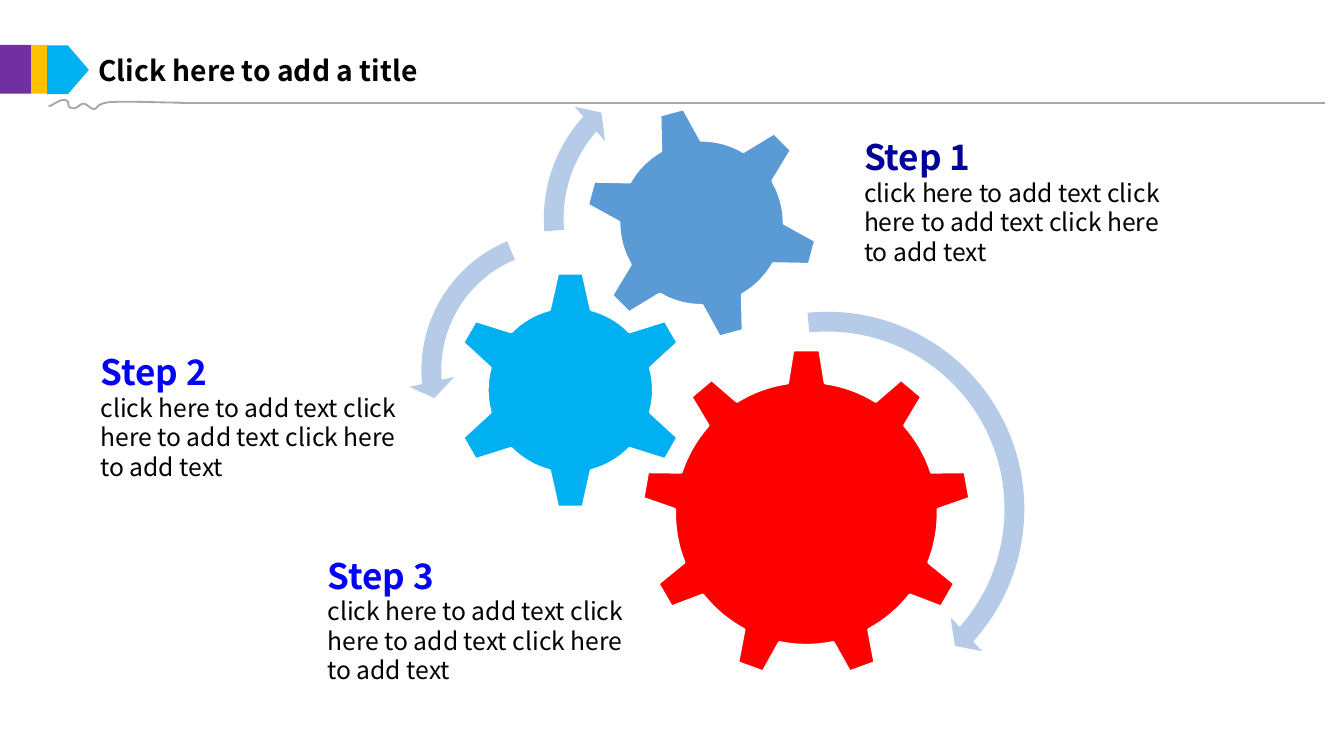
from dataclasses import dataclass
from math import cos, radians, sin

from lxml.etree import SubElement
from pptx import Presentation
from pptx.dml.color import RGBColor
from pptx.enum.shapes import MSO_CONNECTOR, MSO_SHAPE
from pptx.enum.text import MSO_ANCHOR, MSO_AUTO_SIZE, PP_ALIGN
from pptx.oxml.ns import qn
from pptx.util import Cm, Pt

FONT = "Noto Sans CJK SC"
LINE_FACTOR = 1.2
BLACK = RGBColor(0x00, 0x00, 0x00)
WHITE = RGBColor(0xFF, 0xFF, 0xFF)
GREY = RGBColor(0xA6, 0xA6, 0xA6)
RED = RGBColor(0xFF, 0x00, 0x00)
SKY = RGBColor(0x00, 0xB0, 0xF0)
STEEL = RGBColor(0x5B, 0x9B, 0xD5)
PALE_BLUE = RGBColor(0xB5, 0xCB, 0xE7)
NAVY = RGBColor(0x00, 0x00, 0x99)
BLUE = RGBColor(0x00, 0x00, 0xFF)
PURPLE = RGBColor(0x70, 0x30, 0xA0)
AMBER = RGBColor(0xFF, 0xC0, 0x00)
STEP_TEXT = "click here to add text click here to add text click here to add text"

Point = tuple[float, float]


@dataclass
class Gear:
    """Lengths in cm, angles in degrees."""
    center: Point
    teeth: int
    first_angle: float
    body_radius: float
    tip_radius: float
    root_half_angle: float
    tip_half_angle: float
    color: RGBColor


@dataclass
class TurnArrow:
    """Lengths in cm, thickness and head in percent, angles in degrees."""
    kind: MSO_SHAPE
    left: float
    top: float
    size: float
    thickness: float
    head_angle: float
    end_angle: float
    start_angle: float
    head_width: float


@dataclass
class Step:
    heading: str
    left: float
    top: float
    height: float
    color: RGBColor


@dataclass
class Badge:
    kind: MSO_SHAPE
    left: float
    top: float
    width: float
    color: RGBColor


GEARS = [
    Gear((15.24, 9.7), 9, -90, 2.49, 3.1, 8.2, 4.7, RED),
    Gear((10.78, 7.37), 6, -90, 1.57, 2.22, 14.5, 6.2, SKY),
    Gear((13.26, 4.21), 6, -45, 1.56, 2.18, 14.6, 6.1, STEEL),
]
TURN_ARROWS = [
    TurnArrow(MSO_SHAPE.CIRCULAR_ARROW, 11.66, 5.64, 7.95, 4.7, 4.98, 41.99, 264.25, 5.5),
    TurnArrow(MSO_SHAPE.LEFT_CIRCULAR_ARROW, 7.72, 4.11, 5.77, 6.5, 7.17, 174.82, 247.3, 7.5),
    TurnArrow(MSO_SHAPE.CIRCULAR_ARROW, 10.03, 1.02, 6.22, 6, 6.57, 221.9, 175.14, 7),
]
STEPS = [
    Step("Step 1", 16.08, 2.44, 2.74, NAVY),
    Step("Step 2", 1.65, 6.5, 3.3, BLUE),
    Step("Step 3", 5.94, 10.34, 3.3, BLUE),
]
BADGES = [
    Badge(MSO_SHAPE.RECTANGLE, 0, 0.85, 0.59, PURPLE),
    Badge(MSO_SHAPE.RECTANGLE, 0.59, 0.85, 0.3, AMBER),
    Badge(MSO_SHAPE.PENTAGON, 0.89, 0.86, 0.79, SKY),
]
BADGE_HEIGHT = 0.92
# Start point, then two controls and an end point per curve
SQUIGGLE = [
    (0.92, 2.01), (1.02, 1.98), (1.12, 1.88), (1.22, 1.89),
    (1.35, 1.91), (1.24, 2.01), (1.35, 2.04), (1.45, 2.08), (1.5, 1.96), (1.58, 1.96),
    (1.65, 1.96), (1.7, 2.06), (1.78, 2.06), (1.85, 2.06), (1.8, 1.96), (2.08, 1.93),
    (2.36, 1.91), (3.12, 1.94), (3.4, 1.94),
]
RULE_END = 25.04


def polar(center: Point, radius: float, angle: float) -> Point:
    turn = radians(angle)
    return center[0] + radius * cos(turn), center[1] + radius * sin(turn)


def gear_outline(gear: Gear, arc_steps: int = 8) -> list[Point]:
    pitch = 360 / gear.teeth
    gap = pitch - 2 * gear.root_half_angle
    points = []
    for tooth in range(gear.teeth):
        angle = gear.first_angle + tooth * pitch
        for side in (-1, 1):
            points.append(polar(gear.center, gear.tip_radius, angle + side * gear.tip_half_angle))
        for step in range(arc_steps + 1):
            arc_angle = angle + gear.root_half_angle + gap * step / arc_steps
            points.append(polar(gear.center, gear.body_radius, arc_angle))
    return points


def curve_points(knots: list[Point], steps: int = 10) -> list[Point]:
    points = [knots[0]]
    for first in range(0, len(knots) - 1, 3):
        a, b, c, d = knots[first:first + 4]
        for step in range(1, steps + 1):
            t = step / steps
            u = 1 - t
            weights = (u ** 3, 3 * u * u * t, 3 * u * t * t, t ** 3)
            points.append(tuple(sum(w * p[axis] for w, p in zip(weights, (a, b, c, d)))
                                for axis in (0, 1)))
    return points


def draw_outline(shapes, points: list[Point], close: bool):
    corners = [(Cm(x), Cm(y)) for x, y in points]
    builder = shapes.build_freeform(*corners[0])
    builder.add_line_segments(corners[1:], close=close)
    outline = builder.convert_to_shape()
    outline.shadow.inherit = False
    return outline


def draw_gear(shapes, gear: Gear) -> None:
    wheel = draw_outline(shapes, gear_outline(gear), True)
    wheel.fill.solid()
    wheel.fill.fore_color.rgb = gear.color
    wheel.line.color.rgb = WHITE
    wheel.line.width = Pt(1.5)


def draw_preset(shapes, kind: MSO_SHAPE, left: float, top: float,
                width: float, height: float, color: RGBColor):
    preset = shapes.add_shape(kind, Cm(left), Cm(top), Cm(width), Cm(height))
    preset.shadow.inherit = False
    preset.fill.solid()
    preset.fill.fore_color.rgb = color
    preset.line.fill.background()
    return preset


def draw_turn_arrow(shapes, arrow: TurnArrow) -> None:
    turn = draw_preset(shapes, arrow.kind, arrow.left, arrow.top, arrow.size, arrow.size, PALE_BLUE)
    angles = [0.6 * a for a in (arrow.head_angle, arrow.end_angle, arrow.start_angle)]
    settings = [arrow.thickness / 100, *angles, arrow.head_width / 100]
    for index, setting in enumerate(settings):
        turn.adjustments[index] = setting


def format_paragraph(paragraph, size: float, color: RGBColor, bold: bool) -> None:
    paragraph.alignment = PP_ALIGN.LEFT
    paragraph.line_spacing = Pt(round(size * LINE_FACTOR, 1))
    paragraph.space_before = paragraph.space_after = Pt(0)
    for run in paragraph.runs:
        run.font.name = FONT
        run.font.size = Pt(size)
        run.font.bold = bold
        run.font.color.rgb = color


def draw_step(shapes, step: Step) -> None:
    frame = shapes.add_textbox(Cm(step.left), Cm(step.top), Cm(6.15), Cm(step.height)).text_frame
    frame.word_wrap = True
    frame.text = f"{step.heading}\n{STEP_TEXT}"
    heading, detail = frame.paragraphs
    format_paragraph(heading, 18.8, step.color, True)
    format_paragraph(detail, 13.2, BLACK, False)


def fill_title(title) -> None:
    title.left, title.top, title.width, title.height = Cm(1.68), Cm(0.91), Cm(8.61), Cm(0.81)
    frame = title.text_frame
    frame.text = "Click here to add a title"
    frame.word_wrap = True
    frame.auto_size = MSO_AUTO_SIZE.NONE
    frame.vertical_anchor = MSO_ANCHOR.TOP
    frame.margin_left = frame.margin_right = Cm(0.18)
    frame.margin_top = frame.margin_bottom = Cm(0.1)
    format_paragraph(frame.paragraphs[0], 15.1, BLACK, True)


def draw_title_rule(shapes) -> None:
    squiggle = draw_outline(shapes, curve_points(SQUIGGLE), False)
    squiggle.fill.background()
    x, y = SQUIGGLE[-1]
    rule = shapes.add_connector(MSO_CONNECTOR.STRAIGHT, Cm(x), Cm(y), Cm(RULE_END), Cm(y))
    SubElement(rule._element.spPr, qn("a:effectLst"))
    for stroke in (squiggle, rule):
        stroke.line.color.rgb = GREY
        stroke.line.width = Pt(1)


def main() -> None:
    deck = Presentation()
    deck.slide_width, deck.slide_height = Cm(25.4), Cm(14.28)
    slide = deck.slides.add_slide(deck.slide_layouts[5])
    shapes = slide.shapes

    # Gears and the arrows turning around them
    for gear in GEARS:
        draw_gear(shapes, gear)
    for arrow in TURN_ARROWS:
        draw_turn_arrow(shapes, arrow)

    # Step texts
    for step in STEPS:
        draw_step(shapes, step)

    # Title bar
    fill_title(shapes.title)
    draw_title_rule(shapes)
    for badge in BADGES:
        draw_preset(shapes, badge.kind, badge.left, badge.top, badge.width, BADGE_HEIGHT, badge.color)

    deck.save("out.pptx")


if __name__ == "__main__":
    main()
